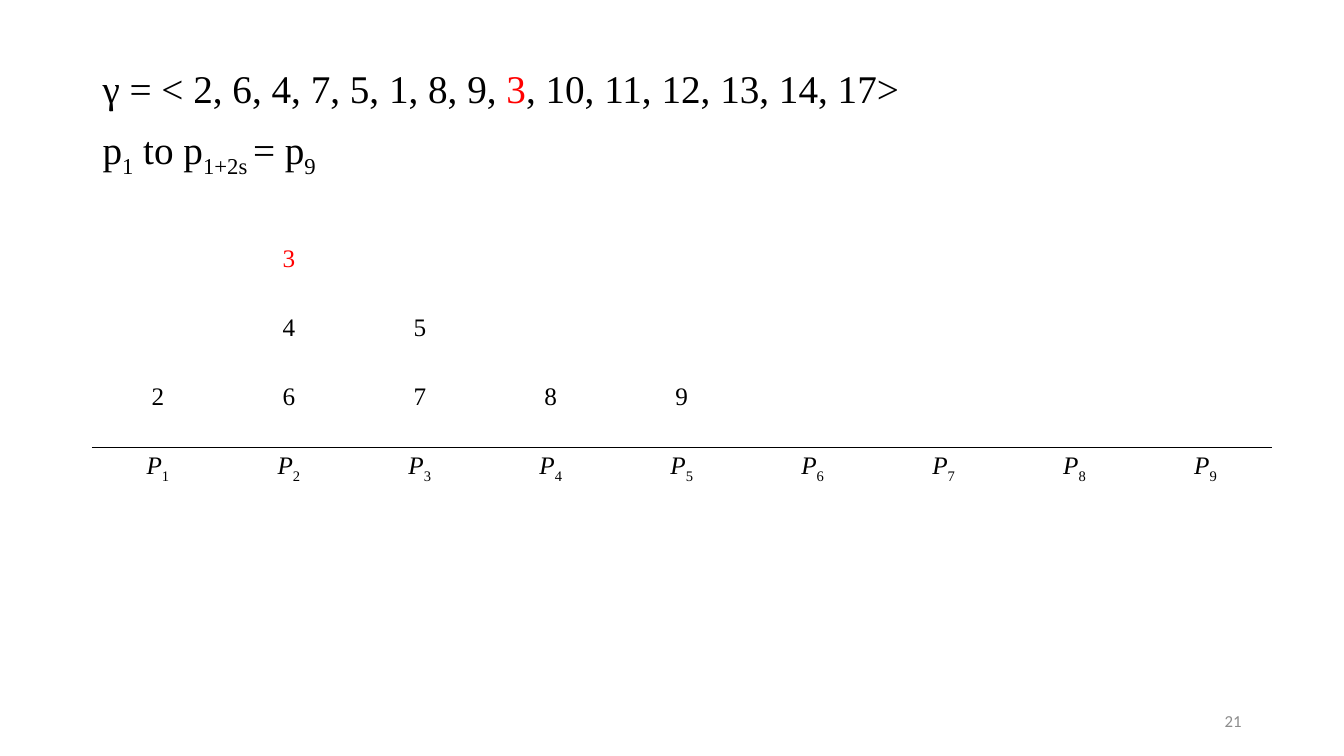
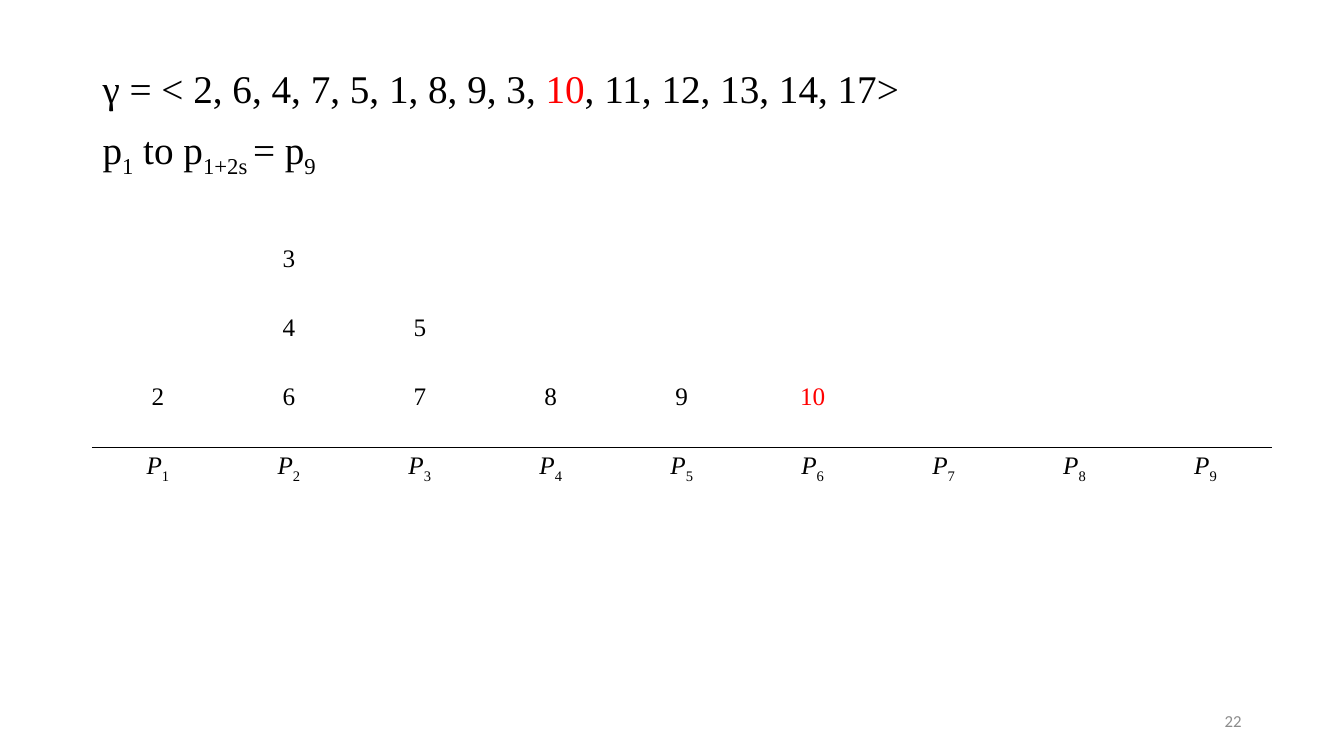
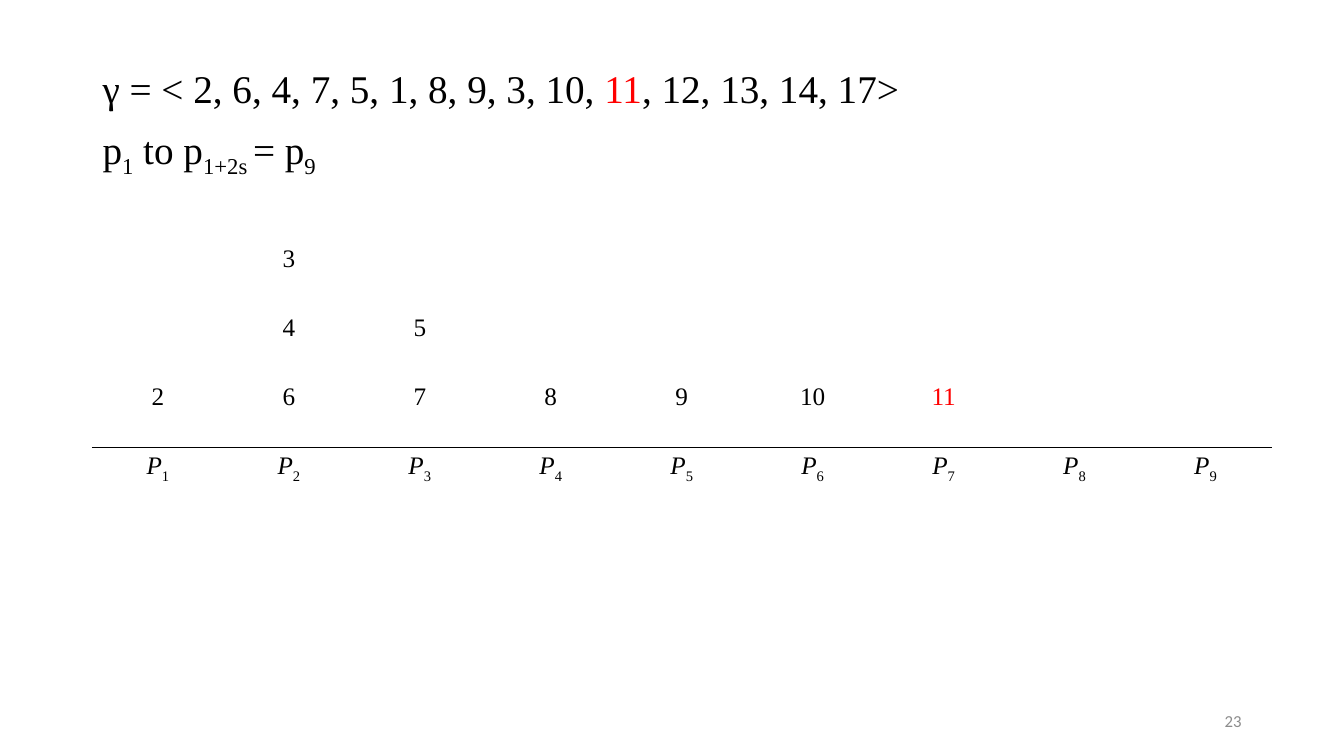
from lxml import etree
from pptx import Presentation
from pptx.dml.color import RGBColor
from pptx.enum.text import MSO_ANCHOR, MSO_AUTO_SIZE, PP_ALIGN
from pptx.oxml.ns import qn
from pptx.util import Cm, Pt

BLACK = RGBColor(0x00, 0x00, 0x00)
WHITE = RGBColor(0xFF, 0xFF, 0xFF)
RED = RGBColor(0xFF, 0x00, 0x00)
GREY = RGBColor(0x8C, 0x8C, 0x8C)
CENTER, RIGHT = PP_ALIGN.CENTER, PP_ALIGN.RIGHT
MIDDLE, NO_FIT = MSO_ANCHOR.MIDDLE, MSO_AUTO_SIZE.NONE
SERIF, SANS = "Times New Roman", "Calibri"
LEFT = Cm(2.33)

# The sequence and the piles it is dealt to, bottom number first
NUMS = [2, 6, 4, 7, 5, 1, 8, 9, 3, 10, 11, 12, 13, 14, 17]
PILES = [[2], [6, 4, 3], [7, 5], [8], [9], [10], [11], [], []]
DEPTH = max(len(pile) for pile in PILES)


class Deck:
    """Holds the shared style and the current slide."""

    def __init__(self):
        self.prs = Presentation()
        self.prs.slide_width = Cm(33.87)
        self.prs.slide_height = Cm(19.05)
        self.slide = None

    def start(self):
        self.slide = self.prs.slides.add_slide(self.prs.slide_layouts[1])
        title = self.slide.shapes.title
        title.element.getparent().remove(title.element)

    def run(self, para, text, size, color=BLACK, face=SERIF,
            italic=False, sub=False):
        run = para.add_run()
        run.text = text
        font = run.font
        font.name, font.size, font.italic = face, Pt(size), italic
        font.color.rgb = color
        if sub:
            run._r.get_or_add_rPr().set("baseline", "-25000")

    def body(self, lines):
        """Each line is a list of (text, options) runs."""
        box = self.slide.placeholders[1]
        box.left, box.top = LEFT, Cm(1.62)
        box.width, box.height = Cm(29.21), Cm(15.54)
        frame = box.text_frame
        frame.auto_size = NO_FIT
        for i, line in enumerate(lines):
            para = frame.add_paragraph() if i else frame.paragraphs[0]
            props = para._p.get_or_add_pPr()
            props.set("marL", "0")
            props.set("indent", "0")
            etree.SubElement(props, qn("a:buNone"))
            para.line_spacing = 0.9
            para.space_before = Pt(10 if i else 0)
            for text, style in line:
                self.run(para, text, 28, **style)

    def number(self, num):
        box = self.slide.shapes.add_textbox(
            Cm(23.92), Cm(17.65), Cm(7.62), Cm(1.01))
        frame = box.text_frame
        frame.word_wrap = True
        frame.vertical_anchor = MIDDLE
        para = frame.paragraphs[0]
        para.alignment = RIGHT
        self.run(para, str(num), 12, GREY, SANS)

    def edge(self, cell, side, color):
        props = cell._tc.get_or_add_tcPr()
        line = etree.SubElement(props, qn("a:ln" + side), w=str(Pt(1)))
        fill = etree.SubElement(line, qn("a:solidFill"))
        etree.SubElement(fill, qn("a:srgbClr"), val=str(color))

    def piles(self, seen):
        """Draws the numbers dealt so far, the newest one in red."""
        rows, cols = DEPTH + 1, len(PILES)
        wide, high = Cm(3.3), Cm(1.74)
        table = self.slide.shapes.add_table(
            rows, cols, LEFT, Cm(6.05), wide * cols, high * rows).table
        table.first_row = table.horz_banding = False

        # White grid with one black rule above the labels
        for r in range(rows):
            for c in range(cols):
                cell = table.cell(r, c)
                for side in "LRTB":
                    rule = (r, side) in ((DEPTH - 1, "B"), (DEPTH, "T"))
                    self.edge(cell, side, BLACK if rule else WHITE)
                cell.fill.solid()
                cell.fill.fore_color.rgb = WHITE
                cell.text_frame.paragraphs[0].alignment = CENTER

        # Numbers stacked upwards over the pile labels
        for c, pile in enumerate(PILES):
            for level, num in enumerate(pile):
                if num in seen:
                    para = table.cell(
                        DEPTH - 1 - level, c).text_frame.paragraphs[0]
                    self.run(para, str(num), 18,
                             RED if num == seen[-1] else BLACK)
            label = table.cell(DEPTH, c).text_frame.paragraphs[0]
            self.run(label, "P", 18, italic=True)
            self.run(label, str(c + 1), 18, sub=True)


def main():
    deck = Deck()
    low = {"sub": True}
    bound = [("p", {}), ("1", low), (" to p", {}), ("1+2s ", low),
             ("= p", {}), ("9", low)]
    for page, num in enumerate((3, 10, 11), start=21):
        at = NUMS.index(num)
        before = "".join(f"{n}, " for n in NUMS[:at])
        after = "".join(f", {n}" for n in NUMS[at + 1:])
        deck.start()
        deck.body([[("γ = < " + before, {}), (str(num), {"color": RED}),
                    (after + ">", {})], bound])
        deck.number(page)
        deck.piles(NUMS[:at + 1])
    deck.prs.save("out.pptx")


if __name__ == "__main__":
    main()
